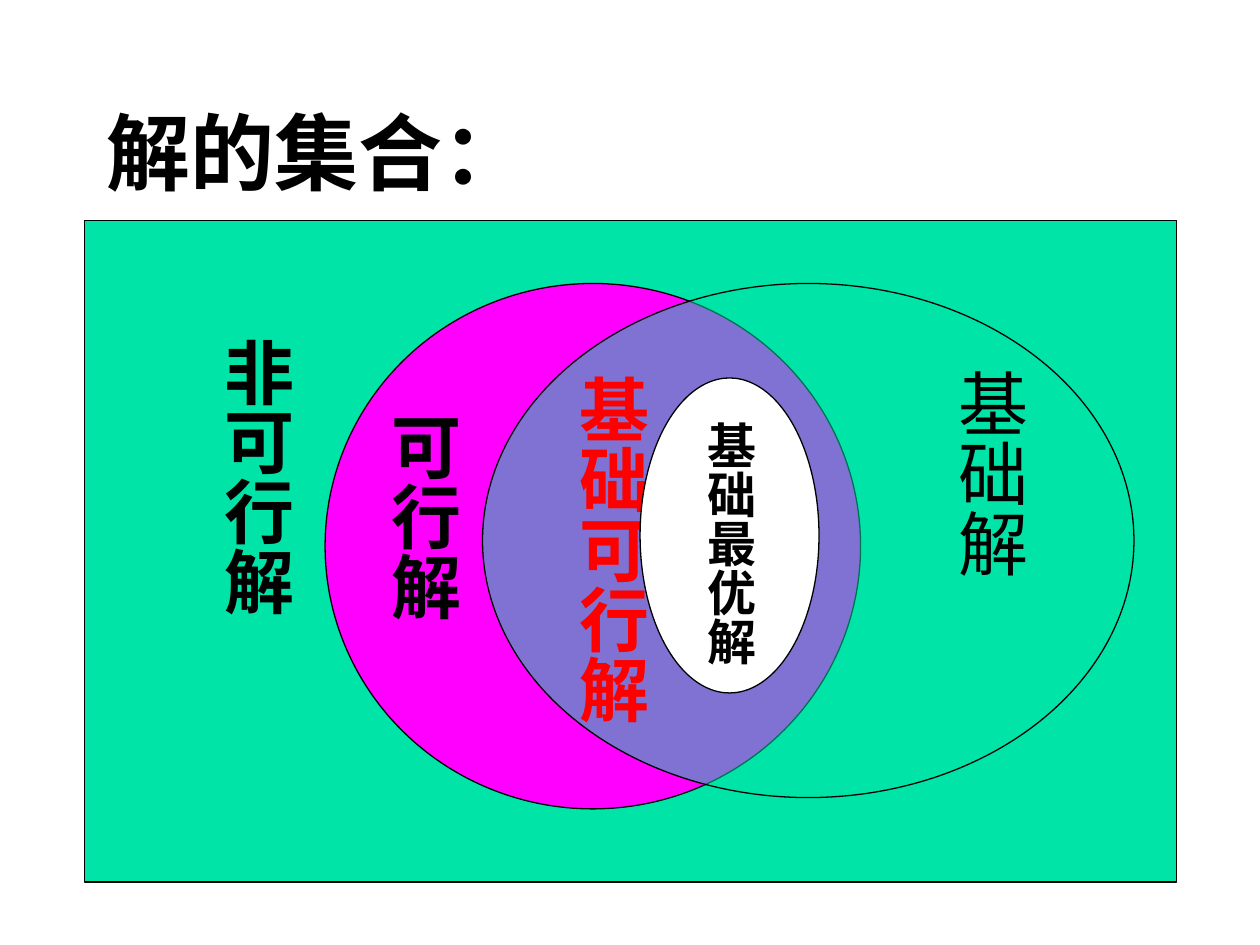
"""Build a slide that shows the sets of solutions as overlapping regions."""
from dataclasses import dataclass
from typing import Optional

from lxml.etree import SubElement
from pptx import Presentation
from pptx.dml.color import RGBColor
from pptx.enum.shapes import MSO_SHAPE
from pptx.enum.text import MSO_ANCHOR, PP_ALIGN
from pptx.oxml.ns import qn
from pptx.slide import Slide
from pptx.util import Inches, Pt


@dataclass(frozen=True)
class Theme:
    font: str = "Times New Roman"
    black: str = "000000"
    white: str = "FFFFFF"
    green: str = "00E4A8"
    magenta: str = "FF00FF"
    red: str = "FF0000"
    title_size: float = 48
    label_size: float = 40
    small_size: float = 28
    line_width: float = 0.75


@dataclass(frozen=True)
class Box:
    left: float
    top: float
    width: float
    height: float

    def lengths(self) -> tuple:
        return tuple(Inches(n) for n in (self.left, self.top, self.width, self.height))


@dataclass(frozen=True)
class Region:
    box: Box
    fill: str
    kind: MSO_SHAPE = MSO_SHAPE.OVAL
    opacity: Optional[int] = None


@dataclass(frozen=True)
class Label:
    text: str
    box: Box
    size: float
    color: str
    bold: bool = True
    vertical: bool = True


THEME = Theme()

REGIONS = (
    Region(Box(0.67, 1.75, 8.67, 5.25), THEME.green, MSO_SHAPE.RECTANGLE),
    Region(Box(2.58, 2.25, 4.25, 4.17), THEME.magenta),
    Region(Box(3.83, 2.25, 5.17, 4.08), THEME.green, opacity=50),
)
OPTIMAL_REGION = Region(Box(5.08, 3, 1.42, 2.5), THEME.white)

LABELS = (
    Label("解的集合：", Box(0.75, 0.75, 4, 0.9), THEME.title_size, THEME.black, vertical=False),
    Label("非可行解", Box(1.54, 2.58, 0.88, 3.25), THEME.label_size, THEME.black),
    Label("可行解", Box(2.88, 3.17, 0.87, 2.25), THEME.label_size, THEME.black),
    Label("基础解", Box(7.38, 2.83, 0.87, 2.5), THEME.label_size, THEME.black, bold=False),
    Label("基础可行解", Box(4.37, 2.88, 0.87, 3.07), THEME.label_size, THEME.red),
)
OPTIMAL_LABEL = Label("基础最优解", Box(5.41, 3.25, 0.67, 2.33), THEME.small_size, THEME.black)


def draw_region(slide: Slide, region: Region) -> None:
    shape = slide.shapes.add_shape(region.kind, *region.box.lengths())
    shape.shadow.inherit = False
    shape.fill.solid()
    shape.fill.fore_color.rgb = RGBColor.from_string(region.fill)
    shape.line.color.rgb = RGBColor.from_string(THEME.black)
    shape.line.width = Pt(THEME.line_width)
    if region.opacity is not None:
        color = shape._element.spPr.find(qn("a:solidFill"))[0]
        SubElement(color, qn("a:alpha"), val=str(region.opacity * 1000))


def add_text(slide: Slide, text: str, *, box: Box, size: float, color: str,
             bold: bool, vertical: bool) -> None:
    frame = slide.shapes.add_textbox(*box.lengths()).text_frame
    frame.word_wrap = True
    frame.vertical_anchor = MSO_ANCHOR.TOP
    if vertical:
        frame._txBody.bodyPr.set("vert", "eaVert")
    paragraph = frame.paragraphs[0]
    paragraph.alignment = PP_ALIGN.LEFT
    run = paragraph.add_run()
    run.text = text
    run.font.name = THEME.font
    run.font.size = Pt(size)
    run.font.bold = bold
    run.font.color.rgb = RGBColor.from_string(color)


def draw_label(slide: Slide, label: Label) -> None:
    add_text(slide, label.text, box=label.box, size=label.size, color=label.color,
             bold=label.bold, vertical=label.vertical)


def main() -> None:
    presentation = Presentation()
    presentation.slide_width = Inches(10)
    presentation.slide_height = Inches(7.5)
    slide = presentation.slides.add_slide(presentation.slide_layouts[6])
    for region in REGIONS:
        draw_region(slide, region)
    for label in LABELS:
        draw_label(slide, label)
    draw_region(slide, OPTIMAL_REGION)
    draw_label(slide, OPTIMAL_LABEL)
    presentation.save("out.pptx")


if __name__ == "__main__":
    main()
